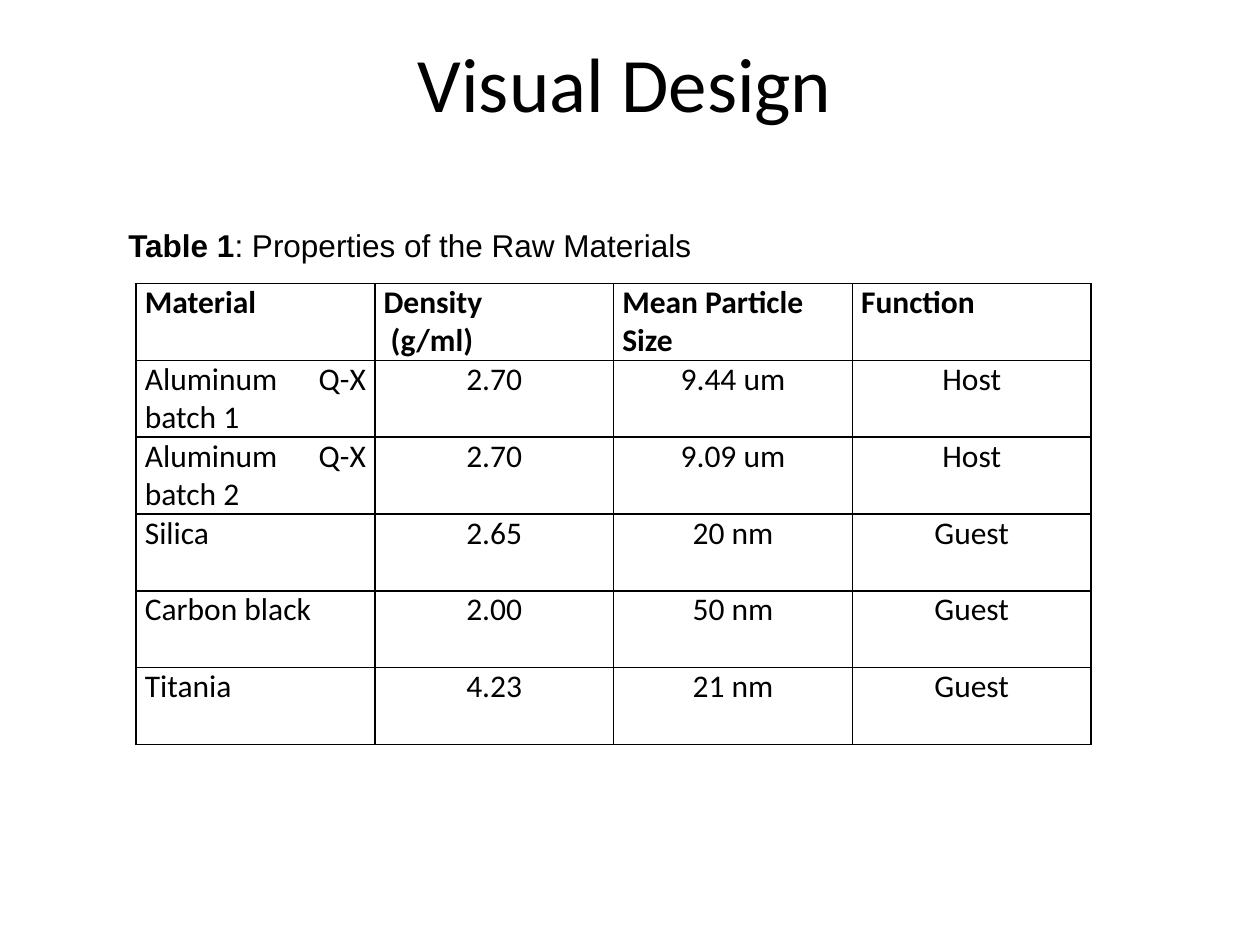
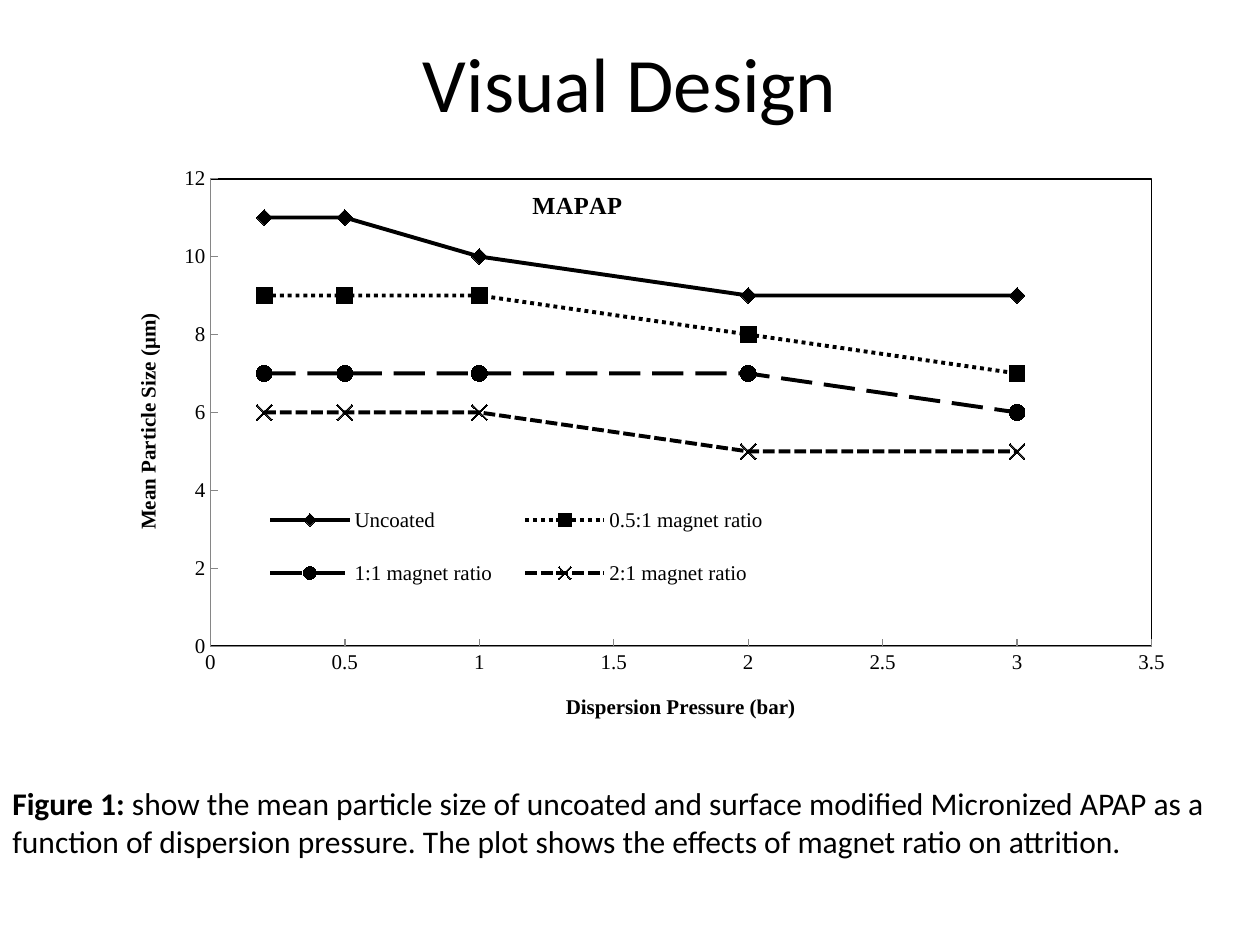
from pptx import Presentation
from pptx.chart.data import XyChartData
from pptx.dml.color import RGBColor
from pptx.enum.chart import XL_CHART_TYPE, XL_LEGEND_POSITION, XL_MARKER_STYLE, XL_TICK_MARK
from pptx.enum.dml import MSO_LINE
from pptx.enum.text import MSO_ANCHOR, PP_ALIGN
from pptx.oxml import parse_xml
from pptx.oxml.ns import nsdecls, qn
from pptx.util import Inches, Pt

BLACK = RGBColor(0, 0, 0)
GRAY = RGBColor(0x86, 0x86, 0x86)

deck = Presentation()
deck.slide_width, deck.slide_height = Inches(10), Inches(7.5)
col, row = deck.slide_width / 100, deck.slide_height / 100


def label(page, box, lines, size, face, lead="", align=PP_ALIGN.LEFT, anchor=MSO_ANCHOR.TOP):
    x, y, w, h = box
    frame = page.shapes.add_textbox(int(x * col), int(y * row), int(w * col), int(h * row)).text_frame
    frame.word_wrap = True
    frame.vertical_anchor = anchor
    frame.text = lead or lines[0]
    if lead:
        frame.paragraphs[0].add_run().text = lines[0]
    for line in lines[1:]:
        frame.add_paragraph().text = line
    for para in frame.paragraphs:
        para.alignment = align
        for run in para.runs:
            run.font.name, run.font.size = face, Pt(size)
            run.font.color.rgb = BLACK
    frame.paragraphs[0].runs[0].font.bold = bool(lead)


def place(node, index, target="", **spots):
    for old in node.findall(qn("c:layout")):
        node.remove(old)
    tags = f'<c:layoutTarget val="{target}"/>' if target else ""
    tags += '<c:xMode val="edge"/><c:yMode val="edge"/>'
    tags += "".join(f'<c:{key} val="{value}"/>' for key, value in spots.items())
    node.insert(index, parse_xml(
        f'<c:layout {nsdecls("c")}><c:manualLayout>{tags}</c:manualLayout></c:layout>'))


pages = [deck.slides.add_slide(deck.slide_layouts[6]) for _ in range(2)]
for page, left in zip(pages, (4.6, 5)):
    label(page, (left, 2.2, 90, 12.8), ["Visual Design"], 44, "Calibri",
          align=PP_ALIGN.CENTER, anchor=MSO_ANCHOR.MIDDLE)

first, second = pages
label(first, (9.2, 23.3, 47.1, 9.5), [": Properties of the Raw Materials"], 18, "Arial", "Table 1")
cells = [
    ["Material", "Density\n (g/ml)", "Mean Particle\nSize", "Function"],
    ["Aluminum Q-X batch 1", "2.70", "9.44 um", "Host"],
    ["Aluminum Q-X batch 2", "2.70", "9.09 um", "Host"],
    ["Silica", "2.65", "20 nm", "Guest"],
    ["Carbon black", "2.00", "50 nm", "Guest"],
    ["Titania", "4.23", "21 nm", "Guest"],
]
grid = first.shapes.add_table(len(cells), len(cells[0]), int(10.8 * col), int(30 * row),
                              int(75.8 * col), int(48.8 * row)).table
grid.first_row = grid.horz_banding = False
for i, line in enumerate(cells):
    for j, text in enumerate(line):
        cell = grid.cell(i, j)
        cell.margin_left = cell.margin_right = Inches(0.07)
        cell.margin_top = cell.margin_bottom = 0
        for side in "LRTB":
            cell._tc.get_or_add_tcPr().append(parse_xml(
                f'<a:ln{side} {nsdecls("a")} w="{Pt(1)}"><a:solidFill>'
                f'<a:srgbClr val="{BLACK}"/></a:solidFill></a:ln{side}>'))
        cell.fill.background()
        cell.text_frame.text = text
        for para in cell.text_frame.paragraphs:
            para.alignment = PP_ALIGN.CENTER if i and j else PP_ALIGN.JUSTIFY
            font = para.runs[0].font
            font.name, font.size, font.bold = "Calibri", Pt(18), i == 0
            font.color.rgb = BLACK

bars = [0.2, 0.5, 1, 2, 3]
curves = [
    ("Uncoated", [11, 11, 10, 9, 9], MSO_LINE.SOLID, XL_MARKER_STYLE.DIAMOND),
    ("0.5:1 magnet ratio", [9, 9, 9, 8, 7], MSO_LINE.ROUND_DOT, XL_MARKER_STYLE.SQUARE),
    ("1:1 magnet ratio", [7, 7, 7, 7, 6], MSO_LINE.LONG_DASH, XL_MARKER_STYLE.CIRCLE),
    ("2:1 magnet ratio", [6, 6, 6, 5, 5], MSO_LINE.SQUARE_DOT, XL_MARKER_STYLE.X),
]
data = XyChartData()
for name, sizes, _, _ in curves:
    series = data.add_series(name)
    for bar, size in zip(bars, sizes):
        series.add_data_point(bar, size)
chart = second.shapes.add_chart(XL_CHART_TYPE.XY_SCATTER_LINES, int(5 * col), int(15.6 * row),
                                int(90 * col), int(66 * row), data).chart
chart.font.name, chart.font.size = "Times New Roman", Pt(12)
chart.font.color.rgb = BLACK
chart.plots[0].vary_by_categories = False
for series, (_, _, dash, mark) in zip(chart.plots[0].series, curves):
    series.smooth = False
    series.format.line.width = Pt(2.25)
    series.format.line.color.rgb = BLACK
    series.format.line.dash_style = dash
    series.marker.style, series.marker.size = mark, 9
    series.marker.format.fill.solid()
    series.marker.format.fill.fore_color.rgb = BLACK
    series.marker.format.line.color.rgb = BLACK

chart.has_title = True
heads = [(chart.chart_title, "MAPAP", 14)]
for axis, text, top, step in (
    (chart.category_axis, "Dispersion Pressure (bar)", 3.5, 0.5),
    (chart.value_axis, "Mean Particle Size (μm)", 12, 2),
):
    axis.minimum_scale, axis.maximum_scale, axis.major_unit = 0, top, step
    axis.has_major_gridlines = False
    axis.major_tick_mark, axis.minor_tick_mark = XL_TICK_MARK.INSIDE, XL_TICK_MARK.NONE
    axis.tick_labels.number_format = "General"
    axis.tick_labels.number_format_is_linked = False
    axis.format.line.color.rgb = GRAY
    heads.append((axis.axis_title, text, 12))
spots = [(0.41, 0.06), (0.44, 0.87), (0.06, 0.26)]
for (head, text, size), (x, y) in zip(heads, spots):
    head.text_frame.text = text
    font = head.text_frame.paragraphs[0].runs[0].font
    font.name, font.size, font.bold = "Times New Roman", Pt(size), True
    font.color.rgb = BLACK
    place(head._element, 1, x=x, y=y)
chart.chart_title.include_in_layout = True

chart.has_legend = True
chart.legend.position = XL_LEGEND_POSITION.RIGHT
chart.legend.include_in_layout = True
place(chart.legend._element, 1, x=0.16, y=0.53, w=0.48, h=0.22)
area = chart._chartSpace.chart.plotArea
place(area, 0, "inner", x=0.13, y=0.05, w=0.83, h=0.75)
area.append(parse_xml(
    f'<c:spPr {nsdecls("c", "a")}><a:noFill/><a:ln w="{Pt(1)}"><a:solidFill>'
    f'<a:srgbClr val="{BLACK}"/></a:solidFill></a:ln></c:spPr>'))

label(second, (0, 82.3, 100, 9.5), [
    " show the mean particle size of uncoated and surface modified Micronized APAP as a",
    "function of dispersion pressure. The plot shows the effects of magnet ratio on attrition.",
], 18, "Calibri", "Figure 1:")

deck.save("out.pptx")
